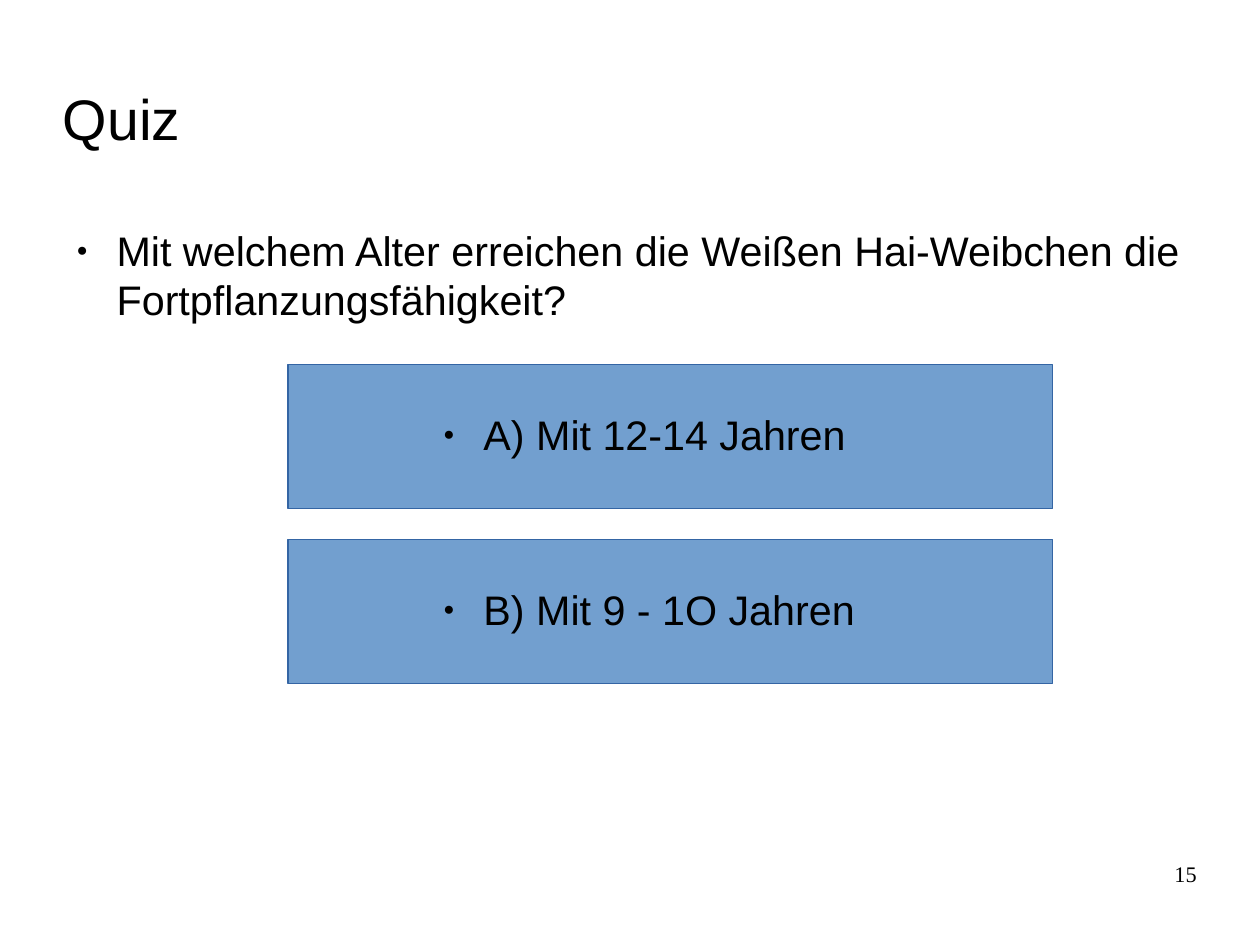
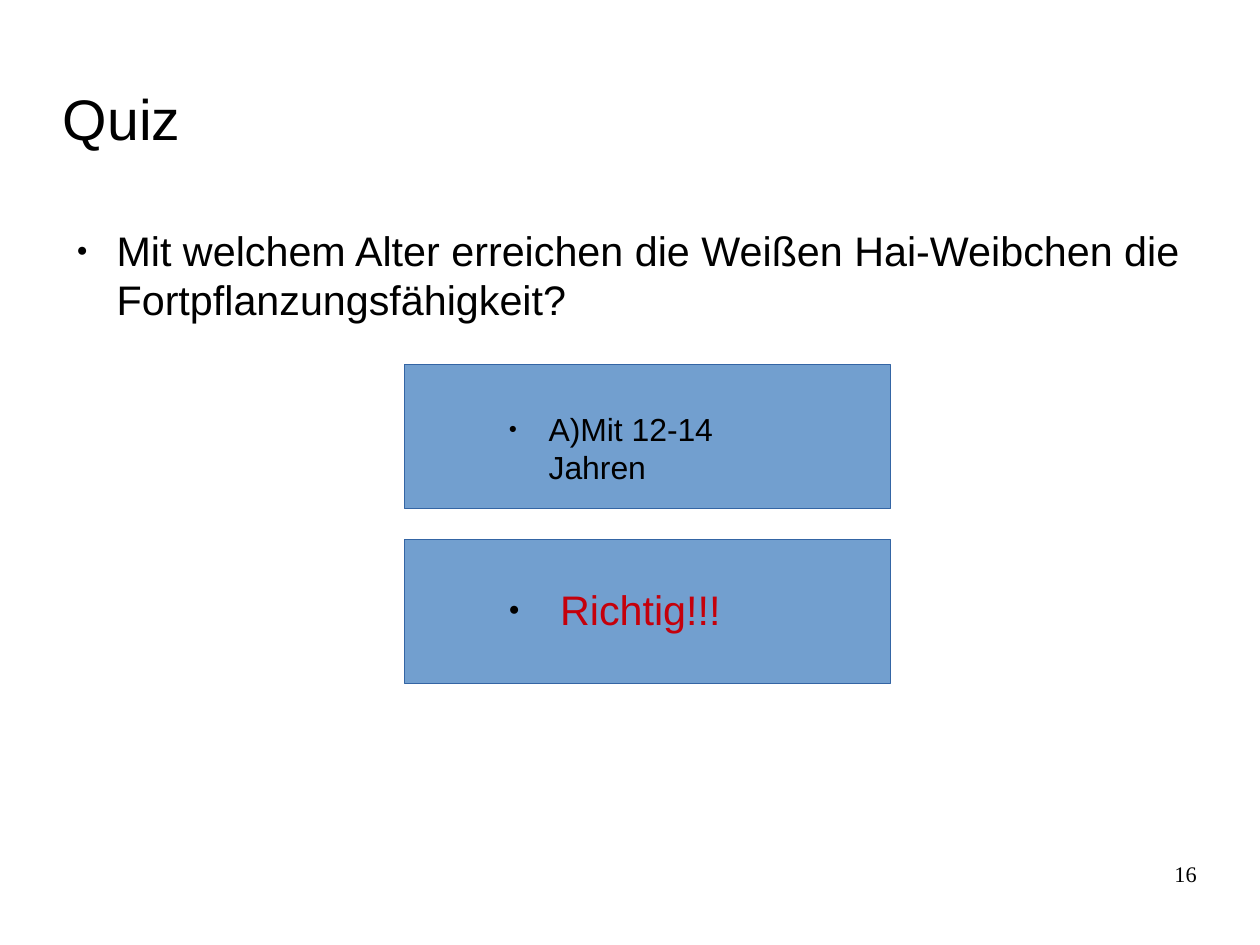
from lxml import etree
from pptx import Presentation
from pptx.dml.color import RGBColor
from pptx.enum.shapes import MSO_SHAPE as Shape
from pptx.enum.text import MSO_ANCHOR as Anchor, PP_ALIGN as Align
from pptx.oxml.ns import qn
from pptx.util import Inches, Pt

# Shared style
CM_PER_INCH = 2.54
PAGE_WIDTH, PAGE_HEIGHT = 28 / CM_PER_INCH, 21 / CM_PER_INCH
BLACK, RED = "000000", "C5000B"
BOX_FILL, BOX_LINE = "729FCF", "3465A4"
SANS, SERIF = "Arial", "Times New Roman"
MARGIN = 0.55
BODY_SIZE = 26
BULLET_LEFT, TEXT_INDENT = 0.12, 0.47
ANSWERS_TOP, ANSWER_HEIGHT, ANSWER_STEP = 3.19, 1.26, 1.53
LABEL_DROP, LABEL_HEIGHT = 0.39, 0.5

QUESTION = ("Mit welchem Alter erreichen die Weißen Hai-Weibchen die "
            "Fortpflanzungsfähigkeit?")


def rgb(value):
    return RGBColor.from_string(value)


def add_bullet(paragraph, indent):
    """Give a paragraph a small black dot and a hanging indent."""
    props = paragraph._p.get_or_add_pPr()
    props.set("marL", str(Inches(indent)))
    props.set("indent", str(Inches(BULLET_LEFT - indent)))
    colour = etree.SubElement(props, qn("a:buClr"))
    etree.SubElement(colour, qn("a:srgbClr"), val=BLACK)
    etree.SubElement(props, qn("a:buSzPct"), val="45000")
    etree.SubElement(props, qn("a:buFont"), typeface=SANS)
    etree.SubElement(props, qn("a:buChar"), char="●")


def add_text(slide, box, text, size=BODY_SIZE, colour=BLACK, font=SANS,
             align=Align.LEFT, anchor=Anchor.TOP, indent=None):
    frame = slide.shapes.add_textbox(*map(Inches, box)).text_frame
    frame.word_wrap = True
    frame.vertical_anchor = anchor
    frame.margin_left = frame.margin_right = 0
    frame.margin_top = frame.margin_bottom = 0
    frame.text = text
    paragraph = frame.paragraphs[0]
    paragraph.alignment = align
    if indent is not None:
        add_bullet(paragraph, indent)
    run_font = paragraph.runs[0].font
    run_font.name, run_font.size = font, Pt(size)
    run_font.color.rgb = rgb(colour)


def add_answer(slide, box, label_offset, label_width, text, **style):
    """Blue panel with a bulleted label inside it."""
    left, top, width, height = box
    panel = slide.shapes.add_shape(Shape.RECTANGLE, *map(Inches, box))
    panel.shadow.inherit = False
    panel.fill.solid()
    panel.fill.fore_color.rgb = rgb(BOX_FILL)
    panel.line.color.rgb = rgb(BOX_LINE)
    panel.line.width = Pt(0)
    label = (left + label_offset, top + LABEL_DROP, label_width, LABEL_HEIGHT)
    add_text(slide, label, text, **{"indent": TEXT_INDENT, **style})


def add_quiz_slide(deck, number, left, width, label_offset, label_width, answers):
    slide = deck.slides.add_slide(deck.slide_layouts[6])
    # Title and question
    add_text(slide, (MARGIN, 0.63, 7.87, 0.79), "Quiz", size=36,
             anchor=Anchor.MIDDLE)
    add_text(slide, (MARGIN, 1.97, 9.92, 4.79), QUESTION, indent=TEXT_INDENT)
    # Answers, one below the other
    for row, (text, style) in enumerate(answers):
        box = (left, ANSWERS_TOP + row * ANSWER_STEP, width, ANSWER_HEIGHT)
        add_answer(slide, box, label_offset, label_width, text, **style)
    # Page number
    add_text(slide, (7.9, 7.53, 2.57, 0.57), str(number), size=14, font=SERIF,
             align=Align.RIGHT)


def main():
    deck = Presentation()
    deck.slide_width, deck.slide_height = Inches(PAGE_WIDTH), Inches(PAGE_HEIGHT)
    add_quiz_slide(deck, 15, 2.52, 6.69, 1.24, 3.8, [
        ("A) Mit 12-14 Jahren", {}),
        ("B) Mit 9 - 1O Jahren", {}),
    ])
    add_quiz_slide(deck, 16, 3.54, 4.25, 0.79, 2.41, [
        ("A)Mit 12-14 Jahren", {"size": 20.1}),
        ("Richtig!!!", {"colour": RED, "indent": 0.57}),
    ])
    deck.save("out.pptx")


if __name__ == "__main__":
    main()
